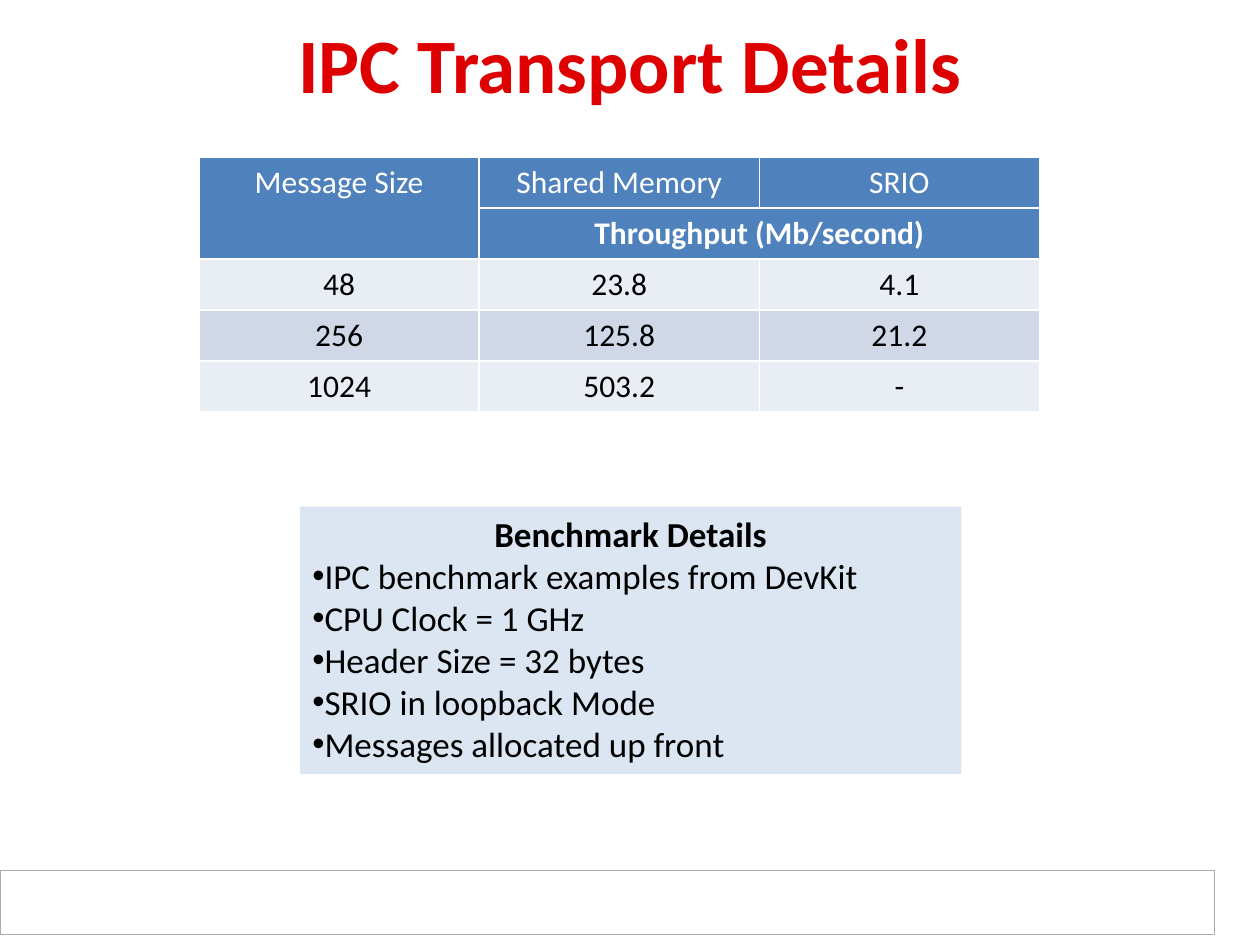
from dataclasses import dataclass

from lxml.etree import SubElement
from pptx import Presentation
from pptx.dml.color import RGBColor
from pptx.enum.shapes import MSO_SHAPE as Shape
from pptx.enum.text import MSO_ANCHOR as Anchor, MSO_AUTO_SIZE as AutoSize, PP_ALIGN as Align
from pptx.oxml.ns import qn
from pptx.util import Inches, Pt

PAGE_WIDTH, PAGE_HEIGHT = Inches(10), Inches(7.5)


@dataclass(frozen=True)
class Theme:
    font: str = "Calibri"
    title_size: int = 44
    body_size: int = 20
    table_size: int = 18
    title: str = "DE0000"
    ink: str = "000000"
    white: str = "FFFFFF"
    panel: str = "DCE6F2"
    header: str = "4F81BD"
    light_band: str = "E9EDF4"
    dark_band: str = "D0D8E8"
    footer_line: str = "AAAAAA"


@dataclass(frozen=True)
class Area:
    """A rectangle in shares of the slide's width and height."""
    left: float
    top: float
    width: float
    height: float

    def lengths(self) -> tuple[int, int, int, int]:
        return (int(self.left * PAGE_WIDTH), int(self.top * PAGE_HEIGHT),
                int(self.width * PAGE_WIDTH), int(self.height * PAGE_HEIGHT))


@dataclass(frozen=True)
class Entry:
    """A table cell, with the rows and columns it covers."""
    row: int
    column: int
    text: str
    rows: int = 1
    columns: int = 1
    bold: bool = False


THEME = Theme()
FOOTER_AREA = Area(0, 0.921, 0.964, 0.068)
TITLE_AREA = Area(0.05, 0.011, 0.9, 0.11)
TABLE_AREA = Area(0.158, 0.166, 0.667, 0.27)
DETAILS_AREA = Area(0.238, 0.536, 0.525, 0.283)

HEADER_ROWS = 2
HEADINGS = [
    Entry(0, 0, "Message Size", rows=2),
    Entry(0, 1, "Shared Memory"),
    Entry(0, 2, "SRIO"),
    Entry(1, 1, "Throughput (Mb/second)", columns=2, bold=True),
]
MEASUREMENTS = [
    ("48", "23.8", "4.1"),
    ("256", "125.8", "21.2"),
    ("1024", "503.2", "-"),
]
DETAILS = [
    "IPC benchmark examples from DevKit",
    "CPU Clock = 1 GHz",
    "Header Size = 32 bytes",
    "SRIO in loopback Mode",
    "Messages allocated up front",
]


def color(value: str) -> RGBColor:
    return RGBColor.from_string(value)


def write(para, text: str, size: int, ink: str, bold: bool = False, align=Align.LEFT) -> None:
    para.alignment = align
    span = para.add_run()
    span.text = text
    span.font.name = THEME.font
    span.font.size = Pt(size)
    span.font.bold = bold
    span.font.color.rgb = color(ink)


def add_box(page, area: Area, fill: str, line: str | None = None):
    box = page.shapes.add_shape(Shape.RECTANGLE, *area.lengths())
    box.shadow.inherit = False
    box.fill.solid()
    box.fill.fore_color.rgb = color(fill)
    if line:
        box.line.color.rgb = color(line)
        box.line.width = Pt(0.75)
    else:
        box.line.fill.background()
    return box


def add_bullet(para) -> None:
    properties = para._p.get_or_add_pPr()
    properties.set("marL", "0")
    properties.set("indent", str(-Inches(0.2)))
    bullet_color = SubElement(properties, qn("a:buClr"))
    SubElement(bullet_color, qn("a:srgbClr"), val=THEME.ink)
    SubElement(properties, qn("a:buFont"), typeface="Arial")
    SubElement(properties, qn("a:buChar"), char="•")


def style_cell(cell, fill: str) -> None:
    properties = cell._tc.get_or_add_tcPr()
    for side in ("lnL", "lnR", "lnT", "lnB"):
        border = SubElement(properties, qn(f"a:{side}"), w=str(Pt(1)))
        paint = SubElement(border, qn("a:solidFill"))
        SubElement(paint, qn("a:srgbClr"), val=THEME.white)
    cell.fill.solid()
    cell.fill.fore_color.rgb = color(fill)


def row_fill(row: int) -> str:
    if row < HEADER_ROWS:
        return THEME.header
    return (THEME.light_band, THEME.dark_band)[(row - HEADER_ROWS) % 2]


def add_title(page, text: str) -> None:
    title = page.shapes.title
    title.left, title.top, title.width, title.height = TITLE_AREA.lengths()
    frame = title.text_frame
    frame.auto_size = AutoSize.NONE
    frame.vertical_anchor = Anchor.MIDDLE
    write(frame.paragraphs[0], text, THEME.title_size, THEME.title, True, Align.CENTER)


def add_details(page) -> None:
    frame = add_box(page, DETAILS_AREA, THEME.panel).text_frame
    frame.word_wrap = True
    frame.auto_size = AutoSize.SHAPE_TO_FIT_TEXT
    frame.vertical_anchor = Anchor.TOP
    write(frame.paragraphs[0], "Benchmark Details", THEME.body_size, THEME.ink, True, Align.CENTER)
    for detail in DETAILS:
        para = frame.add_paragraph()
        add_bullet(para)
        write(para, detail, THEME.body_size, THEME.ink)


def add_throughput_table(page) -> None:
    row_count = HEADER_ROWS + len(MEASUREMENTS)
    column_count = len(MEASUREMENTS[0])
    table = page.shapes.add_table(row_count, column_count, *TABLE_AREA.lengths()).table
    for row in range(row_count):
        for column in range(column_count):
            style_cell(table.cell(row, column), row_fill(row))

    values = [Entry(HEADER_ROWS + row, column, text)
              for row, record in enumerate(MEASUREMENTS)
              for column, text in enumerate(record)]
    for entry in HEADINGS + values:
        cell = table.cell(entry.row, entry.column)
        if entry.rows > 1 or entry.columns > 1:
            cell.merge(table.cell(entry.row + entry.rows - 1, entry.column + entry.columns - 1))
        ink = THEME.white if entry.row < HEADER_ROWS else THEME.ink
        write(cell.text_frame.paragraphs[0], entry.text, THEME.table_size, ink,
              entry.bold, Align.CENTER)


def main() -> None:
    deck = Presentation()
    deck.slide_width, deck.slide_height = PAGE_WIDTH, PAGE_HEIGHT
    page = deck.slides.add_slide(deck.slide_layouts.get_by_name("Title Only"))

    # Footer strip and title
    add_box(page, FOOTER_AREA, THEME.white, THEME.footer_line)
    add_title(page, "IPC Transport Details")

    # Benchmark conditions and results
    add_details(page)
    add_throughput_table(page)

    deck.save("out.pptx")


if __name__ == "__main__":
    main()
